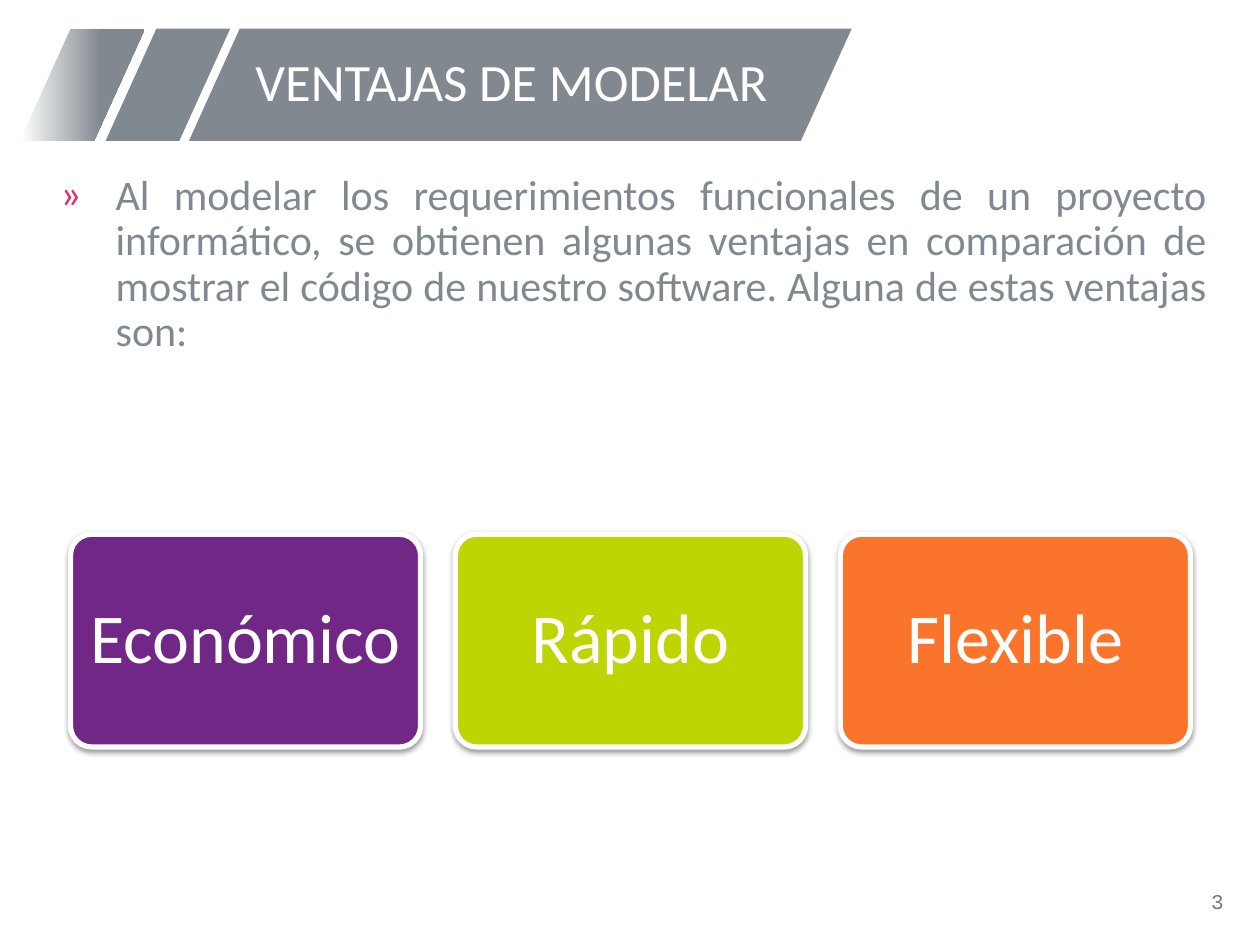
from lxml import etree
from pptx import Presentation
from pptx import util as u
from pptx.dml.color import RGBColor
from pptx.enum import shapes, text
from pptx.oxml import ns

HUES = {
    "white": "FFFFFF", "bar": "81888F", "gray": "818990", "page": "6C7A8A",
    "pink": "DE3075", "black": "000000",
    "purple": "702785", "lime": "BDD503", "orange": "FA742C",
}
KINDS = shapes.MSO_SHAPE
ALIGN = text.PP_ALIGN
MIDDLE = text.MSO_ANCHOR.MIDDLE


def rgb(name):
    """Return the colour kept under a name."""
    return RGBColor.from_string(HUES[name])


def node(root, tag, **attrs):
    """Append a DrawingML child element and return it."""
    return etree.SubElement(root, ns.qn("a:" + tag), attrs)


def place(shape, left, top, width, height):
    """Move and size a shape, in centimetres."""
    shape.left, shape.top = u.Cm(left), u.Cm(top)
    shape.width, shape.height = u.Cm(width), u.Cm(height)


def write(shape, words, size, hue, font="Calibri", align=ALIGN.LEFT,
          anchor=MIDDLE, pad=(0.25, 0.13), space=0.9, bullet=None):
    """Fill a shape with one formatted paragraph."""
    frame = shape.text_frame
    frame.word_wrap = True
    frame.auto_size = text.MSO_AUTO_SIZE.NONE
    frame.vertical_anchor = anchor
    frame.margin_left = frame.margin_right = u.Cm(pad[0])
    frame.margin_top = frame.margin_bottom = u.Cm(pad[1])
    frame.text = words
    para = frame.paragraphs[0]
    if bullet:
        props = para._p.get_or_add_pPr()
        props.set("marL", str(u.Cm(1.27)))
        props.set("indent", str(u.Cm(-1.12)))
        node(node(props, "buClr"), "srgbClr", val=HUES["pink"])
        node(props, "buFont", typeface="Calibri")
        node(props, "buChar", char=bullet)
    para.alignment = align
    para.line_spacing = space
    para.space_before = u.Pt(0)
    face = para.runs[0].font
    face.name, face.size = font, u.Pt(size)
    face.color.rgb = rgb(hue)


def block(slide, kind, box, curve, hue):
    """Add a flat preset shape without an outline."""
    shape = slide.shapes.add_shape(kind, 0, 0, 0, 0)
    place(shape, *box)
    shape.adjustments[0] = curve
    shape.shadow.inherit = False
    shape.fill.solid()
    shape.fill.fore_color.rgb = rgb(hue)
    shape.line.fill.background()
    return shape


def fade(shape):
    """Blend a shape from white to the bar colour."""
    shape.fill.gradient()
    shape.fill.gradient_angle = 0
    for stop, hue, spot in zip(shape.fill.gradient_stops, ("white", "bar"), (0, 0.65)):
        stop.color.rgb = rgb(hue)
        stop.position = spot


def banner(slide):
    """Draw the slanted bars behind the title."""
    bars = [(3.81, 13.36, "bar"), (2.13, 2.51, "gray"), (0.41, 2.51, "bar")]
    for left, width, hue in bars:
        bar = block(slide, KINDS.PARALLELOGRAM, (left, 0.58, width, 2.26), 0.453, hue)
    fade(bar)


def card(slide, left, words, hue):
    """Draw a rounded card with a white rim and a soft shadow."""
    shape = block(slide, KINDS.ROUNDED_RECTANGLE, (left, 10.77, 7.06, 4.29), 0.1, hue)
    shape.line.color.rgb = rgb("white")
    shape.line.width = u.Pt(3)
    glow = node(shape._element.spPr.find(ns.qn("a:effectLst")), "outerShdw",
                blurRad=str(u.Pt(3.1)), dist=str(u.Pt(1.6)), dir="5400000",
                rotWithShape="0")
    node(node(glow, "srgbClr", val=HUES["black"]), "alpha", val="38000")
    write(shape, words, 40, "white", align=ALIGN.CENTER, pad=(0.2, 0.15))


def main():
    """Build and save the slide."""
    deck = Presentation()
    deck.slide_width, deck.slide_height = u.Cm(25.4), u.Cm(19.05)
    slide = deck.slides.add_slide(deck.slide_layouts[1])
    banner(slide)
    title, body = slide.placeholders
    tree = slide.shapes._spTree
    for holder in (title, body):
        tree.append(holder._element)

    place(title, 4.9, 0.58, 11.91, 2.26)
    write(title, "VENTAJAS DE MODELAR", 30, "white")
    place(body, 0.81, 3.38, 23.77, 4.88)
    write(body, "Al modelar los requerimientos funcionales de un proyecto "
          "informático, se obtienen algunas ventajas en comparación de mostrar "
          "el código de nuestro software. Alguna de estas ventajas son:",
          24, "gray", align=ALIGN.JUSTIFY, anchor=text.MSO_ANCHOR.TOP, bullet="»")

    cards = [("Económico", "purple"), ("Rápido", "lime"), ("Flexible", "orange")]
    for i, (words, hue) in enumerate(cards):
        card(slide, 1.42 + 7.76 * i, words, hue)

    page = slide.shapes.add_textbox(0, 0, 0, 0)
    place(page, 19.2, 17.65, 5.72, 1.02)
    write(page, "3", 12, "page", font="Courier New", align=ALIGN.RIGHT, space=1.0)
    deck.save("out.pptx")


if __name__ == "__main__":
    main()
